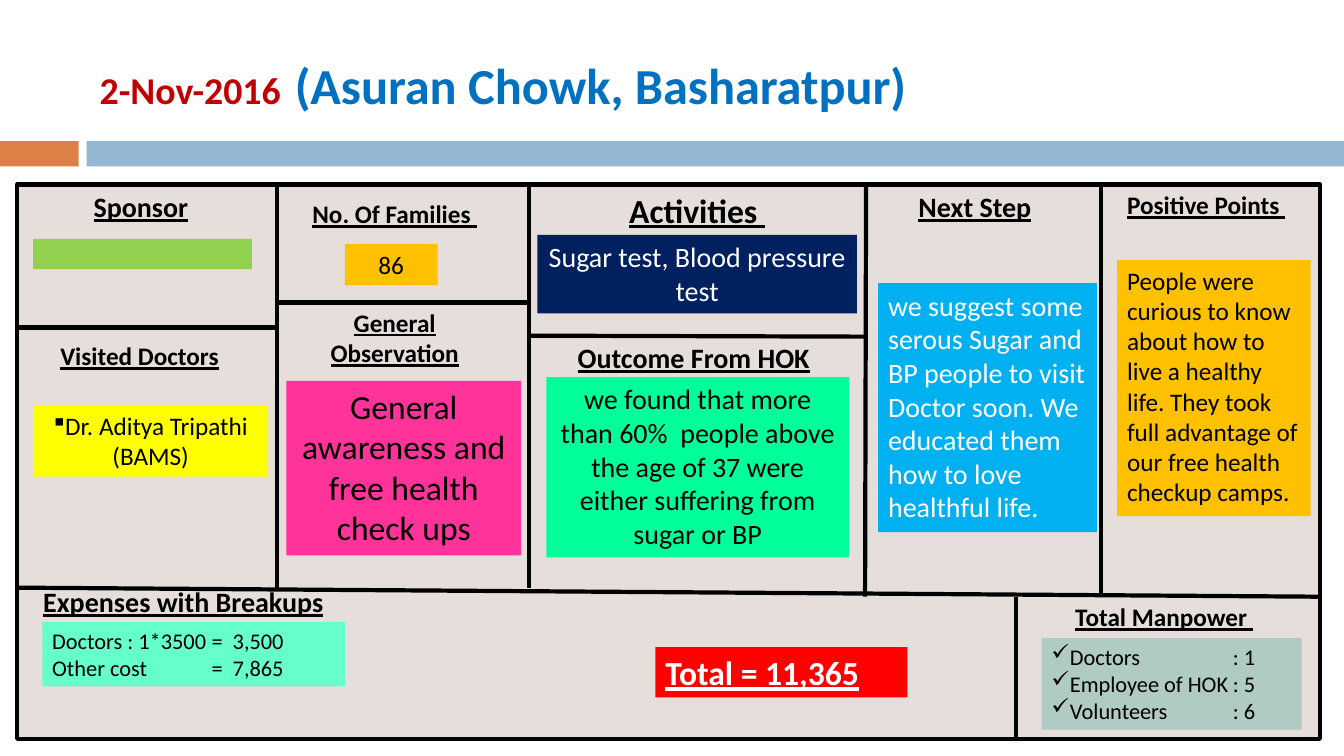
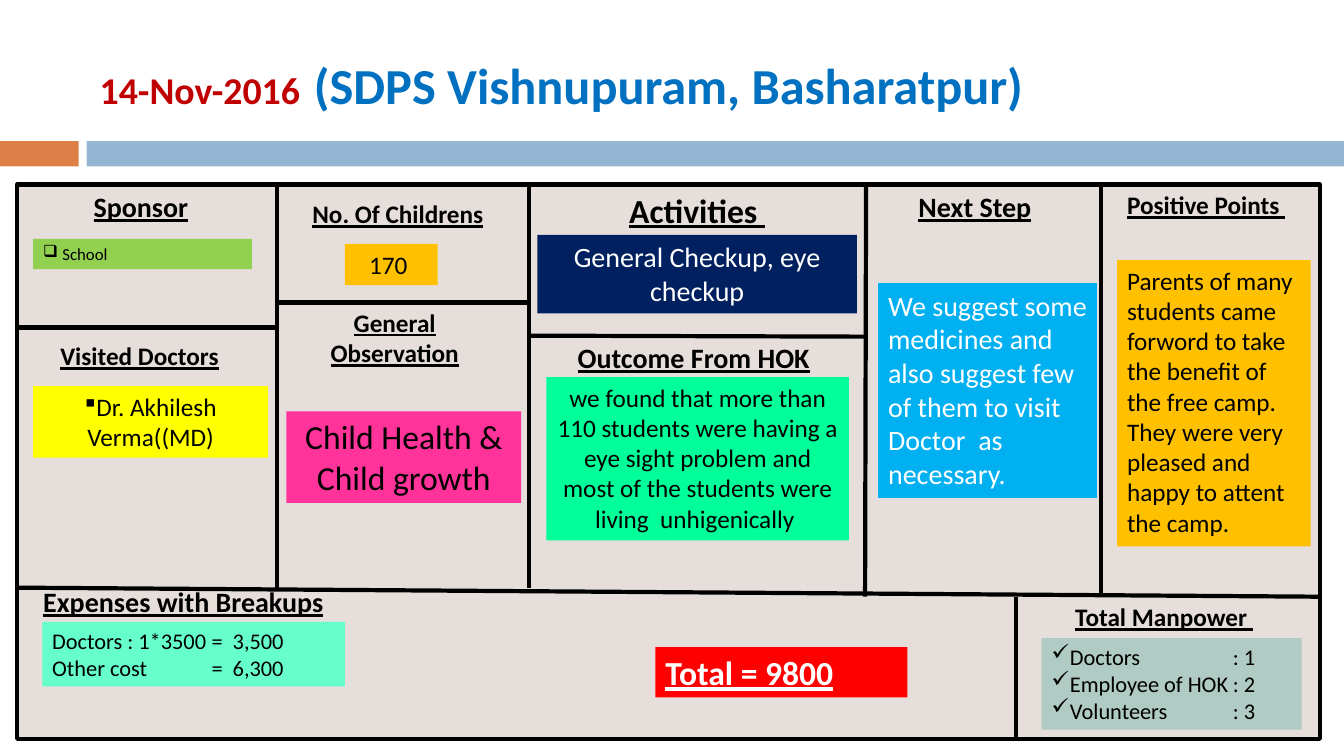
from lxml import etree
from pptx import Presentation
from pptx.dml.color import RGBColor
from pptx.enum.shapes import MSO_CONNECTOR, MSO_SHAPE
from pptx.enum.text import MSO_ANCHOR, MSO_AUTO_SIZE, PP_ALIGN
from pptx.oxml.ns import qn
from pptx.util import Inches, Pt

RECT = MSO_SHAPE.RECTANGLE
LINE = MSO_CONNECTOR.STRAIGHT
MID, TOP = MSO_ANCHOR.MIDDLE, MSO_ANCHOR.TOP
LEFT, MITTE = PP_ALIGN.LEFT, PP_ALIGN.CENTER
FIT = MSO_AUTO_SIZE.SHAPE_TO_FIT_TEXT
FONT = "Calibri"
BLACK, WHITE = "000000", "FFFFFF"
RED, BLUE, BROWN = "C00000", "0070C0", "775F55"
ORANGE, STEEL, SAND = "DD8047", "94B6D2", "E6DEDB"
PAD = 0.1
BOARD = (0.17, 1.83, 12.92, 5.5)

# Rules of the board: from x, y to x, y
RULES = [
    (0.17, 5.83, 13.08, 5.92),
    (2.75, 1.83, 2.75, 5.83),
    (5.25, 1.83, 5.25, 5.83),
    (8.59, 1.83, 8.58, 5.92),
    (10.92, 1.83, 10.92, 5.92),
    (0.17, 3.25, 2.75, 3.25),
    (2.75, 3, 5.25, 3),
    (5.25, 3.33, 8.58, 3.34),
    (10.08, 5.92, 10.08, 7.33),
]

# Cells of the board: box, heading (dx, dy, width, size, align),
# note (dx, width, fill, ink, align, bullet, indent, tab)
CELLS = {
    "Sponsor": ((0.17, 1.83, 2.58, 1.42), (0.66, 0, 1.25, 20, LEFT),
                (0.16, 2.17, "92D050", BLACK, LEFT, "q", 0.19, 0)),
    "Visited Doctors": ((0.17, 3.25, 2.58, 2.58), (0.33, 0.08, 1.83, 18, LEFT),
                        (0.16, 2.33, "FFFF00", BLACK, MITTE, "§", 0, 0)),
    "No. Of ": ((2.75, 1.83, 2.5, 1.17), (0.25, 0.09, 2.08, 18, LEFT),
                (0.67, 0.92, "FFC000", BLACK, MITTE, "", 0, 0)),
    "General Observation": ((2.75, 3, 2.5, 2.83), (0, 0, 2.33, 18, MITTE),
                            (0.09, 2.33, "FF3399", BLACK, MITTE, "", 0, 0)),
    "Activities ": ((5.25, 1.83, 3.33, 1.5), (0.75, 0, 1.83, 24, MITTE),
                    (0.08, 3.17, "002060", WHITE, MITTE, "", 0, 0)),
    "Outcome From HOK": ((5.25, 3.33, 3.33, 2.5), (0.17, 0, 2.92, 20, MITTE),
                         (0.17, 3, "00FF99", BLACK, MITTE, "", 0, 0)),
    "Next Step": ((8.58, 1.83, 2.34, 4.09), (0.09, 0, 2, 20, MITTE),
                  (0.13, 2.17, "00B0F0", WHITE, LEFT, "", 0, 0)),
    "Positive Points ": ((10.92, 1.83, 2.17, 4.09), (0.16, 0, 1.92, 18, LEFT),
                         (0.16, 1.92, "FFC000", BLACK, LEFT, "", 0, 0)),
    "Expenses with Breakups": ((0.17, 5.83, 9.91, 1.5), (0.16, -0.08, 3.25, 20, LEFT),
                               (0.25, 3, "66FFCC", BLACK, LEFT, "", 0, 1.58)),
    "Total Manpower ": ((10.08, 5.92, 3, 1.41), (0.34, 0, 2.25, 18, MITTE),
                        (0.25, 2.58, "B0CAC4", BLACK, LEFT, "ü", 0, 1.8)),
}

# Notes of each day: top inside the cell, size, count of lines, text
DAYS = [
    {
        "date": "2-Nov-2016", "place": "(Asuran Chowk, Basharatpur)",
        "group": "Families ", "total": "Total = 11,365",
        "notes": [
            (0.54, 12, 1, ""),
            (0.77, 18, 2, "Dr. Aditya Tripathi (BAMS)"),
            (0.59, 18, 1, "86"),
            (0.78, 24, 4, "General awareness and free health check ups"),
            (0.5, 20, 2, "Sugar test, Blood pressure test"),
            (0.41, 20, 5, "we found that more than 60%  people above the age of 37 "
                          "were either suffering from sugar or BP"),
            (0.98, 20, 7, "we suggest some serous Sugar and BP people to visit Doctor "
                          "soon. We educated them how to love healthful life."),
            (0.75, 18, 8, "People were curious to know about how to live a healthy "
                          "life. They took full advantage of our free health "
                          "checkup camps."),
            (0.34, 16, 2, "Doctors : 1*3500\t=  3,500\nOther cost\t=  7,865"),
            (0.41, 16, 3, "Doctors\t: 1\nEmployee of HOK\t: 5\nVolunteers\t: 6"),
        ],
    },
    {
        "date": "14-Nov-2016", "place": "(SDPS Vishnupuram, Basharatpur)",
        "group": "Childrens", "total": "Total = 9800",
        "notes": [
            (0.54, 12, 1, "School "),
            (0.58, 18, 2, "Dr. Akhilesh Verma((MD)"),
            (0.59, 18, 1, "170 "),
            (1.08, 24, 2, "Child Health & Child growth"),
            (0.5, 20, 2, "General Checkup, eye checkup"),
            (0.41, 18, 5, "we found that more than 110 students were having a eye "
                          "sight problem and most of the students were living  "
                          "unhigenically "),
            (0.98, 20, 6, "We suggest some medicines and also suggest few of them to "
                          "visit Doctor  as necessary. "),
            (0.75, 18, 9, "Parents of many students came forword to take the benefit "
                          "of the free camp. They were very pleased and happy to "
                          "attent the camp."),
            (0.34, 16, 2, "Doctors : 1*3500\t=  3,500\nOther cost\t=  6,300"),
            (0.41, 16, 3, "Doctors\t: 1\nEmployee of HOK\t: 2\nVolunteers\t: 3"),
        ],
    },
]


def ink(code):
    return RGBColor.from_string(code)


def spot(box):
    return [Inches(v) for v in box]


def high(size, lines):
    return round(lines * size * 1.22 / 72 + PAD, 2)


def style(font, size, code, bold=False, under=None):
    font.name, font.size, font.bold = FONT, Pt(size), bold
    font.underline = under
    font.color.rgb = ink(code)


def block(slide, box, fill, edge=None):
    shape = slide.shapes.add_shape(RECT, *spot(box))
    shape.shadow.inherit = False
    shape.fill.solid()
    shape.fill.fore_color.rgb = ink(fill)
    if edge:
        shape.line.color.rgb = ink(edge)
        shape.line.width = Pt(3)
    else:
        shape.line.fill.background()
    return shape


def rule(slide, ends):
    line = slide.shapes.add_connector(LINE, *spot(ends))
    line.line.color.rgb = ink(BLACK)
    line.line.width = Pt(3)
    etree.SubElement(line._element.spPr, qn("a:effectLst"))


def marks(para, bullet, indent, tab):
    """Add a bullet and a tab stop to a paragraph."""
    props = para._p.get_or_add_pPr()
    if bullet:
        props.set("marL", str(Inches(indent)))
        props.set("indent", str(-Inches(indent)))
        etree.SubElement(props, qn("a:buFont"), typeface="Wingdings")
        etree.SubElement(props, qn("a:buChar"), char=bullet)
    if tab:
        stops = etree.SubElement(props, qn("a:tabLst"))
        etree.SubElement(stops, qn("a:tab"), pos=str(Inches(tab)), algn="l")


def write(shape, text, size, code, align, bold=False, under=None,
          bullet="", indent=0, tab=0):
    frame = shape.text_frame
    frame.word_wrap = True
    frame.auto_size = FIT
    frame.vertical_anchor = TOP
    frame.text = text
    for para in frame.paragraphs:
        para.alignment = align
        marks(para, bullet, indent, tab)
        style(para.font, size, code, bold, under)


def title(slide, box, date, place):
    frame = slide.shapes.add_textbox(*spot(box)).text_frame
    frame.word_wrap = True
    frame.vertical_anchor = MID
    para = frame.paragraphs[0]
    for text, size, code, bold in [(date, 27, RED, True), (" ", 44, BROWN, False),
                                   (place, 36, BLUE, True)]:
        run = para.add_run()
        run.text = text
        style(run.font, size, code, bold)


def bands(slide, box):
    x, y, w, h = box
    block(slide, (x, y, 0.78, h), ORANGE)
    block(slide, (x + 0.86, y, w - 0.86, h), STEEL)


def board(slide, box):
    block(slide, box, SAND, BLACK)
    for ends in RULES:
        rule(slide, ends)


def cell(slide, box, name, head, look, note):
    x, y = box[:2]
    # Heading
    dx, dy, w, size, align = head
    area = (x + dx, y + dy, w, high(size, 1))
    write(slide.shapes.add_textbox(*spot(area)), name, size, BLACK, align, True, True)
    # Note
    dx, w, fill, code, align, bullet, indent, tab = look
    top, size, lines, text = note
    shape = block(slide, (x + dx, y + top, w, high(size, lines)), fill)
    if text:
        write(shape, text, size, code, align, bullet=bullet, indent=indent, tab=tab)


def total(slide, box, text):
    write(block(slide, box, "FF0000"), text, 24, WHITE, LEFT, True, True)


def report(deck, day):
    slide = deck.slides.add_slide(deck.slide_layouts[6])
    bands(slide, (0, 1.4, 13.33, 0.25))
    title(slide, (0.89, 0.25, 11.89, 1.08), day["date"], day["place"])
    board(slide, BOARD)
    for (name, (box, head, look)), note in zip(CELLS.items(), day["notes"]):
        label = name + day["group"] if name == "No. Of " else name
        cell(slide, box, label, head, look, note)
    total(slide, (6.5, 6.42, 2.5, 0.5), day["total"])


deck = Presentation()
deck.slide_width, deck.slide_height = Inches(13.33), Inches(7.5)
for day in DAYS:
    report(deck, day)
deck.save("out.pptx")
